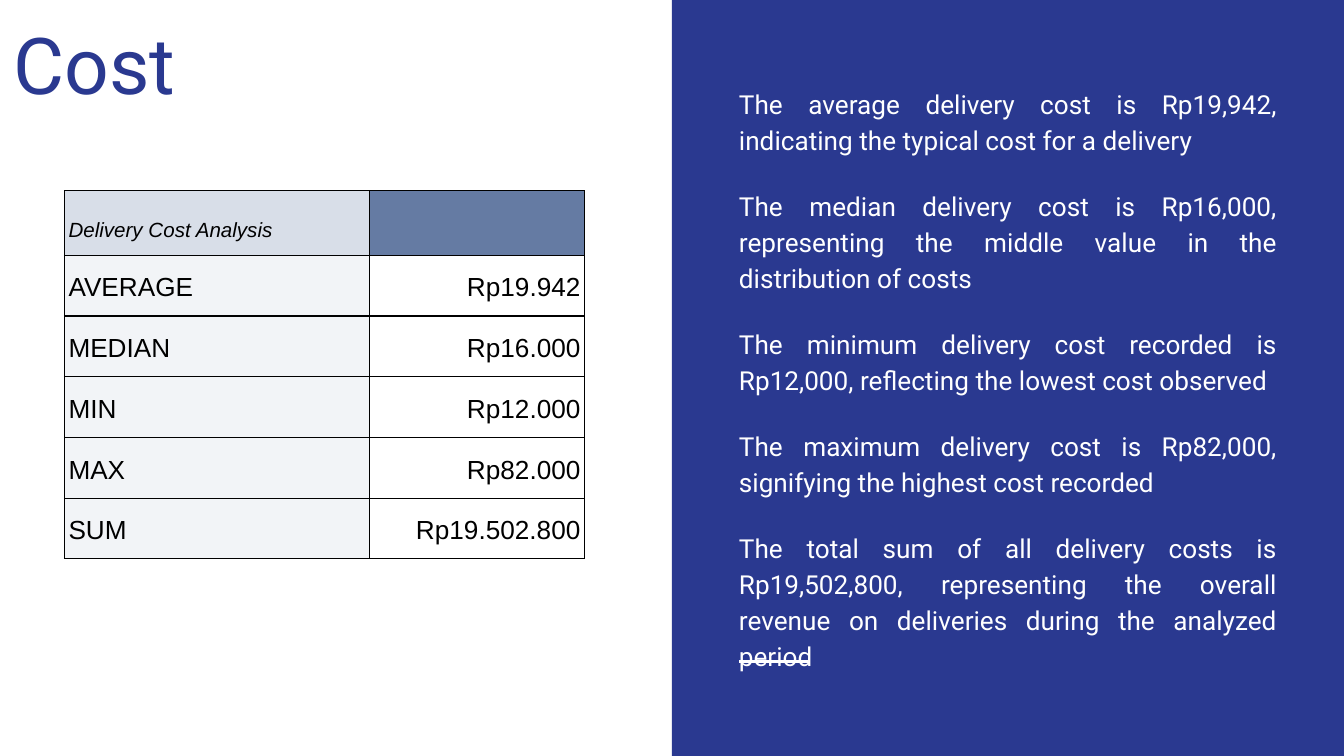
from lxml.etree import SubElement
from pptx import Presentation
from pptx.dml.color import RGBColor
from pptx.enum.shapes import MSO_CONNECTOR as CONNECTOR, MSO_SHAPE as SHAPE
from pptx.enum.text import MSO_ANCHOR as ANCHOR, MSO_AUTO_SIZE as AUTOSIZE, PP_ALIGN as ALIGN
from pptx.oxml.ns import qn
from pptx.util import Inches, Pt

PAGE_WIDTH = 10
PAGE_HEIGHT = PAGE_WIDTH * 9 / 16
BLUE, WHITE, BLACK = "2A3990", "FFFFFF", "000000"
LABEL_HEAD, VALUE_HEAD, LABEL_FILL = "D8DEE8", "657BA3", "F2F4F7"

COSTS = [
    ("AVERAGE", "Rp19.942"),
    ("MEDIAN", "Rp16.000"),
    ("MIN", "Rp12.000"),
    ("MAX", "Rp82.000"),
    ("SUM", "Rp19.502.800"),
]
FINDINGS = [
    "The average delivery cost is Rp19,942, indicating the typical cost for a delivery",
    "The median delivery cost is Rp16,000, representing the middle value in the distribution of costs",
    "The minimum delivery cost recorded is Rp12,000, reflecting the lowest cost observed",
    "The maximum delivery cost is Rp82,000, signifying the highest cost recorded",
    "The total sum of all delivery costs is Rp19,502,800, representing the overall "
    "revenue on deliveries during the analyzed period",
]


def color(value):
    return RGBColor.from_string(value)


class CostPage:
    heading_font = "Roboto"
    table_font = "Arial"
    body_size = 14

    def __init__(self, deck):
        self.page = deck.slides.add_slide(deck.slide_layouts[5])

    def style(self, para, font, size, ink, align=ALIGN.LEFT, spacing=1.0):
        para.font.name = font
        para.font.size = Pt(size)
        para.font.color.rgb = color(ink)
        para.alignment = align
        para.line_spacing = spacing

    def set_frame(self, frame, anchor):
        frame.word_wrap = True
        frame.auto_size = AUTOSIZE.NONE
        frame.vertical_anchor = anchor
        frame.margin_left = frame.margin_right = Inches(0.1)
        frame.margin_top = frame.margin_bottom = Inches(0.1)

    def title(self, text, left, top, width, height):
        title = self.page.shapes.title
        title.left, title.top = Inches(left), Inches(top)
        title.width, title.height = Inches(width), Inches(height)
        self.set_frame(title.text_frame, ANCHOR.BOTTOM)
        title.text_frame.text = text
        self.style(title.text_frame.paragraphs[0], self.heading_font, 42, BLUE)

    def panel(self, left, top, width, height, fill):
        panel = self.page.shapes.add_shape(
            SHAPE.RECTANGLE, Inches(left), Inches(top), Inches(width), Inches(height))
        panel.shadow.inherit = False
        panel.fill.solid()
        panel.fill.fore_color.rgb = color(fill)
        panel.line.fill.background()

    def line(self, x1, y1, x2, y2, ink, weight):
        line = self.page.shapes.add_connector(
            CONNECTOR.STRAIGHT, Inches(x1), Inches(y1), Inches(x2), Inches(y2))
        line.line.color.rgb = color(ink)
        line.line.width = Pt(weight)
        SubElement(line._element.spPr, qn("a:effectLst"))

    def body(self, texts, left, top, width, height):
        box = self.page.shapes.add_textbox(
            Inches(left), Inches(top), Inches(width), Inches(height))
        frame = box.text_frame
        self.set_frame(frame, ANCHOR.MIDDLE)
        for index, text in enumerate(texts):
            para = frame.add_paragraph() if index else frame.paragraphs[0]
            para.text = text
            self.style(para, self.heading_font, self.body_size, WHITE, ALIGN.JUSTIFY, 1.15)
            para.space_before = Pt(16 if index else 0)
        para.space_after = Pt(16)

    def border(self, cell):
        properties = cell._tc.get_or_add_tcPr()
        for side in ("lnL", "lnR", "lnT", "lnB"):
            edge = SubElement(properties, qn(f"a:{side}"), w=str(Pt(0.75)))
            fill = SubElement(edge, qn("a:solidFill"))
            SubElement(fill, qn("a:srgbClr"), val=BLACK)

    def cell(self, cell, text, fill, size, align=ALIGN.LEFT, spacing=1.0, italic=False):
        self.border(cell)
        cell.fill.solid()
        cell.fill.fore_color.rgb = color(fill)
        cell.vertical_anchor = ANCHOR.BOTTOM
        cell.margin_left = cell.margin_right = Inches(0.03)
        cell.margin_top = cell.margin_bottom = Inches(0.1)
        para = cell.text_frame.paragraphs[0]
        para.text = text
        self.style(para, self.table_font, size, BLACK, align, spacing)
        para.font.italic = italic

    def cost_table(self, heading, rows, left, top, widths, head_height, row_height):
        height = head_height + row_height * len(rows)
        table = self.page.shapes.add_table(
            len(rows) + 1, len(widths), Inches(left), Inches(top),
            Inches(sum(widths)), Inches(height)).table
        for column, width in zip(table.columns, widths):
            column.width = Inches(width)
        for index, row in enumerate(table.rows):
            row.height = Inches(row_height if index else head_height)
        self.cell(table.cell(0, 0), heading, LABEL_HEAD, 11, italic=True)
        self.cell(table.cell(0, 1), "", VALUE_HEAD, 11)
        for index, (label, value) in enumerate(rows, start=1):
            self.cell(table.cell(index, 0), label, LABEL_FILL, self.body_size, spacing=1.15)
            self.cell(table.cell(index, 1), value, WHITE, self.body_size, ALIGN.RIGHT, 1.15)


def main():
    deck = Presentation()
    deck.slide_width, deck.slide_height = Inches(PAGE_WIDTH), Inches(PAGE_HEIGHT)
    page = CostPage(deck)

    # Right half: blue panel with its accent line and findings
    half = PAGE_WIDTH / 2
    page.panel(half, 0, half, PAGE_HEIGHT, BLUE)
    page.line(5.5, 4.92, 6.01, 4.92, WHITE, 1.5)
    page.body(FINDINGS, 5.4, 0.79, 4.2, 4.04)

    # Left half: title and cost table
    page.title("Cost", 0, 0, 4.35, 0.92)
    page.cost_table("Delivery Cost Analysis", COSTS, 0.48, 1.42, (2.27, 1.6), 0.48, 0.45)

    deck.save("out.pptx")


if __name__ == "__main__":
    main()
